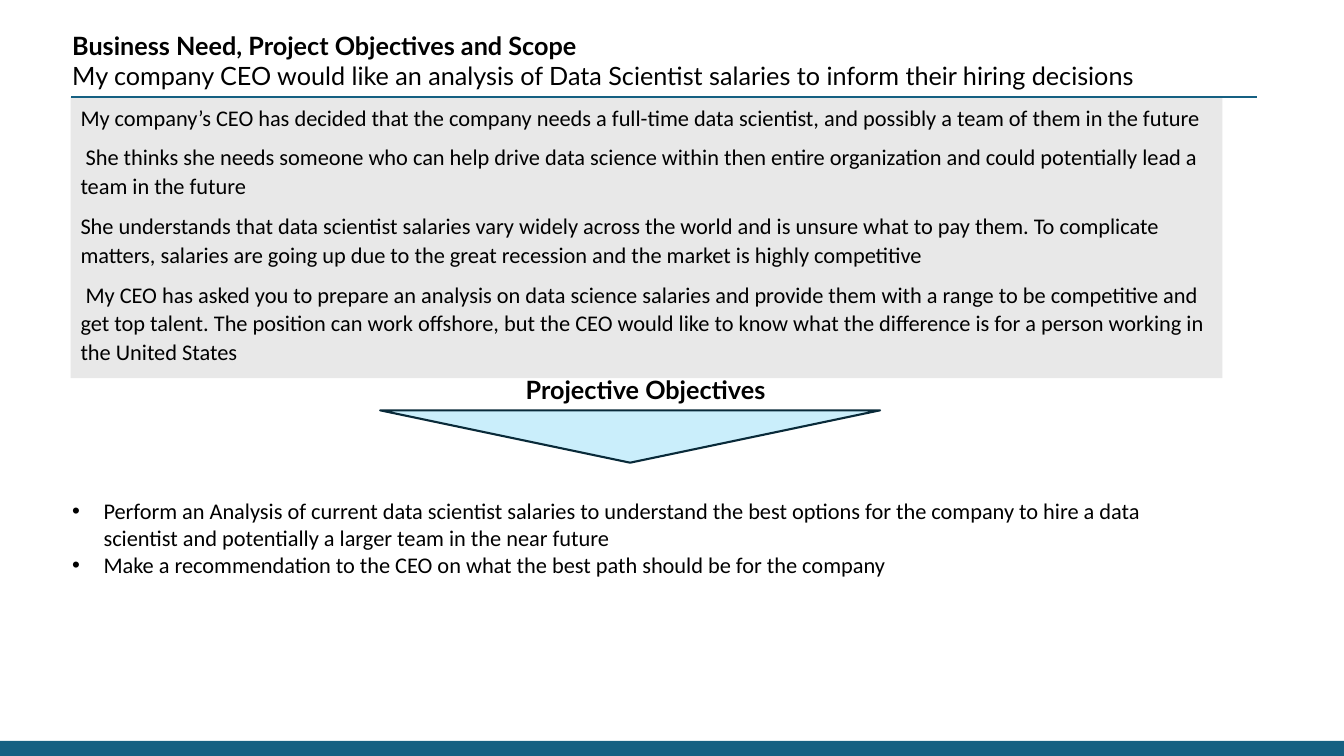
from lxml.etree import SubElement
from pptx import Presentation
from pptx.dml.color import RGBColor
from pptx.enum.shapes import MSO_CONNECTOR, MSO_SHAPE
from pptx.enum.text import MSO_ANCHOR, PP_ALIGN
from pptx.oxml.ns import qn
from pptx.util import Cm, Pt

SLIDE_WIDTH, SLIDE_HEIGHT = 33.87, 19.05
TEAL, GREY, PALE_BLUE, NAVY = "156082", "E8E8E8", "CAEEFB", "092A39"
BLACK, WHITE = "000000", "FFFFFF"

HEADLINE = "Business Need, Project Objectives and Scope"
SUBTITLE = ("My company CEO would like an analysis of Data Scientist salaries "
            "to inform their hiring decisions")
BUSINESS_NEED = [
    "My company’s CEO has decided that the company needs a full-time data scientist, "
    "and possibly a team of them in the future",
    " She thinks she needs someone who can help drive data science within then entire "
    "organization and could potentially lead a team in the future",
    "She understands that data scientist salaries vary widely across the world and is "
    "unsure what to pay them. To complicate matters, salaries are going up due to the "
    "great recession and the market is highly competitive",
    " My CEO has asked you to prepare an analysis on data science salaries and provide "
    "them with a range to be competitive and get top talent. The position can work "
    "offshore, but the CEO would like to know what the difference is for a person "
    "working in the United States",
]
OBJECTIVES = [
    "Perform an Analysis of current data scientist salaries to understand the best "
    "options for the company to hire a data scientist and potentially a larger team "
    "in the near future",
    "Make a recommendation to the CEO on what the best path should be for the company",
]


def color(hex_code):
    return RGBColor.from_string(hex_code)


def add_panel(slide, preset, box, fill, outline=None):
    panel = slide.shapes.add_shape(preset, *map(Cm, box))
    panel.shadow.inherit = False
    panel.fill.solid()
    panel.fill.fore_color.rgb = color(fill)
    if outline:
        panel.line.color.rgb = color(outline)
        panel.line.width = Pt(1.5)
    else:
        panel.line.fill.background()
    return panel


def write(shape, texts, font_name, size, bold=False):
    """Fill the shape with one left-aligned paragraph per text."""
    frame = shape.text_frame
    frame.word_wrap = True
    frame.vertical_anchor = MSO_ANCHOR.TOP
    frame.text = "\n".join(texts)
    for paragraph in frame.paragraphs:
        paragraph.alignment = PP_ALIGN.LEFT
        font = paragraph.font
        font.name, font.size, font.bold = font_name, Pt(size), bold
        font.color.rgb = color(BLACK)
    return frame


def add_bullet(paragraph, indent):
    properties = paragraph._p.get_or_add_pPr()
    properties.set("marL", str(Cm(indent)))
    properties.set("indent", str(-Cm(indent)))
    # The bullet must precede the default run properties in the schema order.
    bullet_font = SubElement(properties, qn("a:buFont"), typeface="Arial")
    bullet = SubElement(properties, qn("a:buChar"), char="•")
    properties.insert(0, bullet_font)
    properties.insert(1, bullet)


def add_title(slide, box):
    title = slide.shapes.add_textbox(*map(Cm, box))
    frame = write(title, [HEADLINE, SUBTITLE], "Lato", 18)
    frame.margin_top = Cm(0.89)
    frame.paragraphs[0].font.bold = True


def add_title_rule(slide, left, right, top):
    rule = slide.shapes.add_connector(
        MSO_CONNECTOR.STRAIGHT, Cm(left), Cm(top), Cm(right), Cm(top))
    rule.line.color.rgb = color(TEAL)
    rule.line.width = Pt(1.5)
    SubElement(rule._element.spPr, qn("a:effectLst"))


def add_business_need(slide, box):
    need = add_panel(slide, MSO_SHAPE.RECTANGLE, box, GREY)
    for paragraph in write(need, BUSINESS_NEED, "Calibri", 16).paragraphs:
        paragraph.line_spacing = 1.07
        paragraph.space_after = Pt(8)


def add_objectives_heading(slide, box):
    """Place the heading with the downward pointer right below it."""
    left, top, width, height = box
    heading = slide.shapes.add_textbox(*map(Cm, box))
    write(heading, ["Projective Objectives"], "Lato", 18, bold=True)
    add_panel(slide, MSO_SHAPE.FLOWCHART_MERGE,
              (left - 3.42, top + height, 12.6, 1.32), PALE_BLUE, NAVY)


def add_objectives(slide, box):
    objectives = add_panel(slide, MSO_SHAPE.RECTANGLE, box, WHITE)
    frame = write(objectives, OBJECTIVES, "Calibri", 16)
    frame.margin_top = Cm(0.9)
    for paragraph in frame.paragraphs:
        add_bullet(paragraph, 0.79)


def main():
    deck = Presentation()
    deck.slide_width, deck.slide_height = Cm(SLIDE_WIDTH), Cm(SLIDE_HEIGHT)
    slide = deck.slides.add_slide(deck.slide_layouts[6])
    band_height = 0.38
    add_panel(slide, MSO_SHAPE.RECTANGLE,
              (0, SLIDE_HEIGHT - band_height, SLIDE_WIDTH, band_height), TEAL)
    add_business_need(slide, (1.78, 2.44, 29.03, 7.09))
    add_title(slide, (1.57, -0.13, 30.5, 2.57))
    add_objectives(slide, (1.57, 11.63, 28.35, 3.07))
    add_objectives_heading(slide, (13, 9.32, 6.65, 1.02))
    add_title_rule(slide, 1.8, 31.67, 2.44)
    deck.save("out.pptx")


if __name__ == "__main__":
    main()
